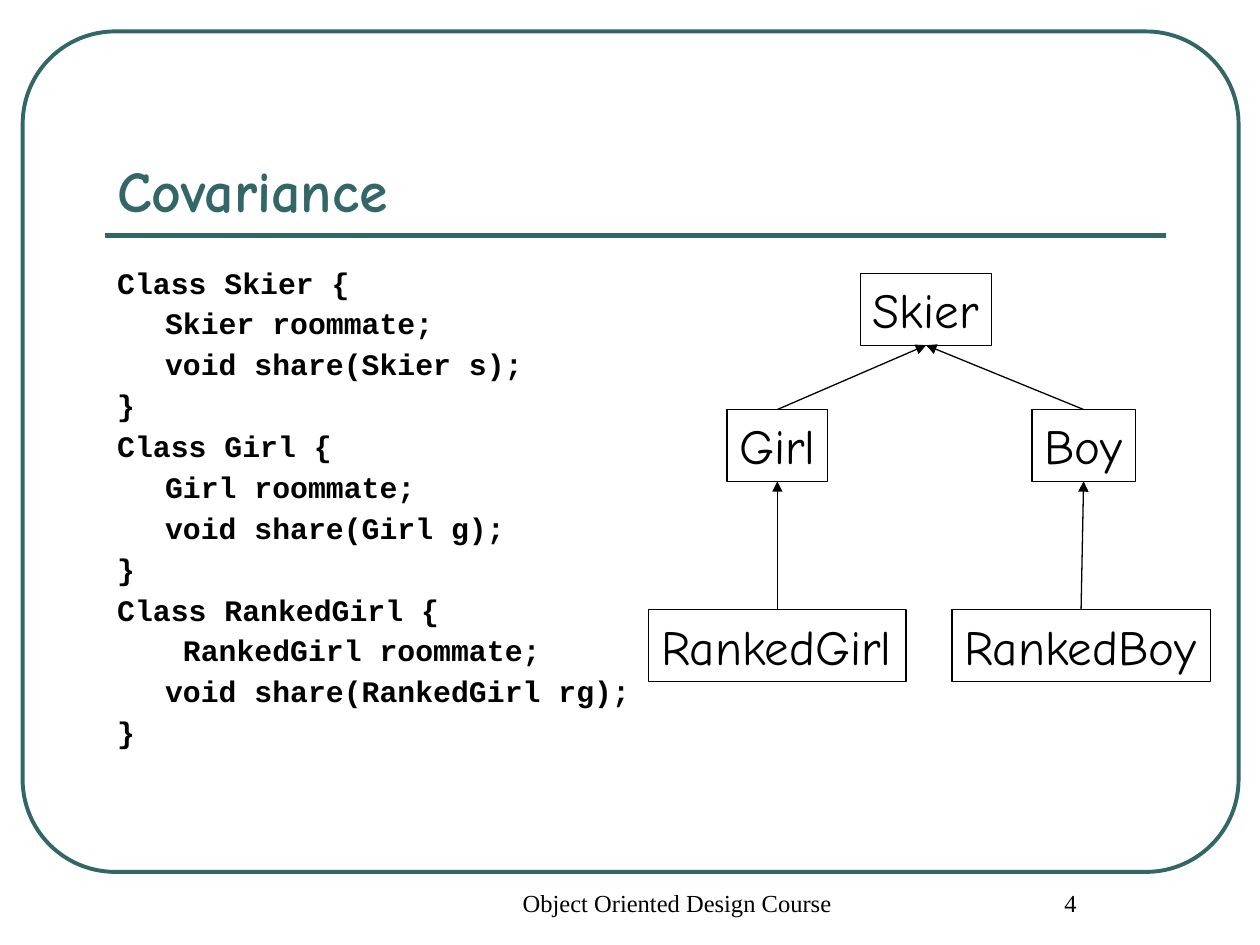
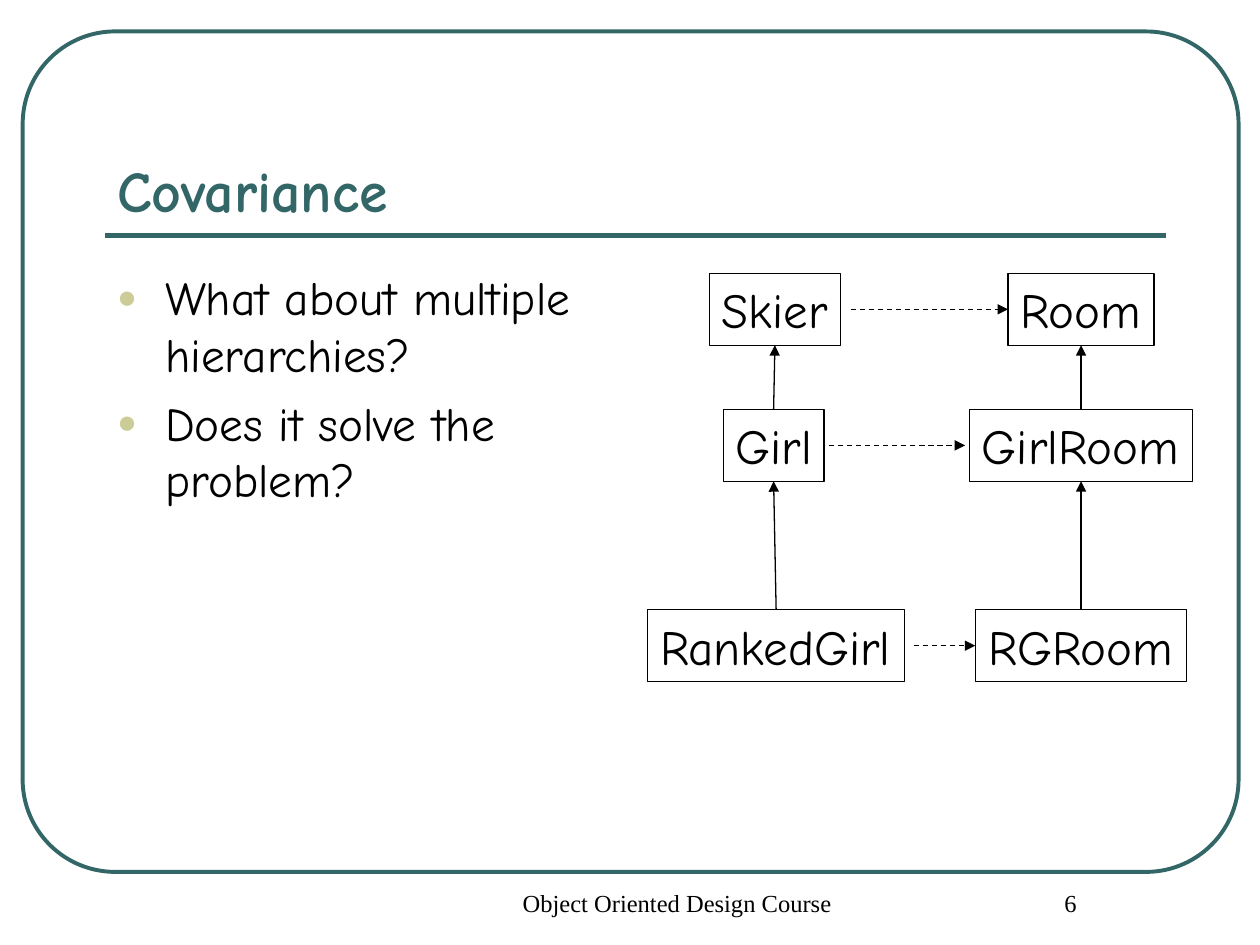
"""Build two slides on covariance with class diagrams."""
import pptx
import pptx.util
import pptx.dml.color
import pptx.enum.dml
import pptx.enum.shapes
import pptx.enum.text
import pptx.oxml.ns
from lxml import etree

Inches = pptx.util.Inches
Pt = pptx.util.Pt
SHAPES = pptx.enum.shapes.MSO_SHAPE
STRAIGHT = pptx.enum.shapes.MSO_CONNECTOR.STRAIGHT
ALIGN = pptx.enum.text.PP_ALIGN
AUTO_SIZE = pptx.enum.text.MSO_AUTO_SIZE
ANCHOR = pptx.enum.text.MSO_ANCHOR
qn = pptx.oxml.ns.qn

COLORS = {"teal": "336666", "bullet": "CCCC99", "ink": "000000"}
HAND, CODE, SERIF = "Comic Neue", "Courier New", "Times New Roman"
ROW_TOPS = [2.17, 3.25, 4.84]
BOX_HEIGHT = 0.57
BOX_WIDTHS = {"Skier": 1.04, "Girl": 0.8, "Boy": 0.82, "RankedGirl": 2.04,
              "RankedBoy": 2.05, "Room": 1.16, "GirlRoom": 1.77, "RGRoom": 1.67}

SLIDES = [
    {
        "number": "4",
        "body_width": 6,
        "code": [
            (0, "Class Skier {"),
            (1, "Skier roommate;"),
            (1, "void share(Skier s);"),
            (0, "}"),
            (0, "Class Girl {"),
            (1, "Girl roommate;"),
            (1, "void share(Girl g);"),
            (0, "}"),
            (0, "Class RankedGirl {"),
            (1, " RankedGirl roommate;"),
            (1, "void share(RankedGirl rg);"),
            (0, "}"),
        ],
        "bullets": [],
        "classes": [("Skier", 7.35, 0), ("Girl", 6.17, 1), ("Boy", 8.6, 1),
                    ("RankedGirl", 6.17, 2), ("RankedBoy", 8.58, 2)],
        "parents": [("Girl", "Skier"), ("Boy", "Skier"),
                    ("RankedGirl", "Girl"), ("RankedBoy", "Boy")],
        "uses": [],
    },
    {
        "number": "6",
        "body_width": 4.5,
        "code": [],
        "bullets": ["What about multiple hierarchies?", "Does it solve the problem?"],
        "classes": [("Skier", 6.15, 0), ("Girl", 6.14, 1), ("RankedGirl", 6.16, 2),
                    ("Room", 8.58, 0), ("GirlRoom", 8.58, 1), ("RGRoom", 8.58, 2)],
        "parents": [("Girl", "Skier"), ("RankedGirl", "Girl"),
                    ("GirlRoom", "Room"), ("RGRoom", "GirlRoom")],
        "uses": [(6.75, 8, 0), (6.58, 7.66, 1), (7.25, 7.74, 2)],
    },
]


def format_text(para, size, font, color="ink", bold=False):
    for span in para.runs:
        span.font.size = Pt(size)
        span.font.name = font
        span.font.bold = bold
        span.font.color.rgb = pptx.dml.color.RGBColor.from_string(COLORS[color])


def draw_line(page, start, end, color="ink", width=0.75, arrow=True):
    line = page.shapes.add_connector(STRAIGHT, *[Inches(v) for v in (*start, *end)])
    line.line.color.rgb = pptx.dml.color.RGBColor.from_string(COLORS[color])
    line.line.width = Pt(width)
    if arrow:
        etree.SubElement(line.line._get_or_add_ln(), qn("a:tailEnd"), type="triangle")
    etree.SubElement(line._element.spPr, qn("a:effectLst"))
    return line


deck = pptx.Presentation()
deck.slide_width, deck.slide_height = Inches(10), Inches(7.5)

for content in SLIDES:
    page = deck.slides.add_slide(deck.slide_layouts[1])
    title, body = page.placeholders

    frame = page.shapes.add_shape(SHAPES.ROUNDED_RECTANGLE, Inches(0.18), Inches(0.25),
                                  Inches(9.65), Inches(6.67))
    frame.adjustments[0] = 0.11
    frame.shadow.inherit = False
    frame.fill.background()
    frame.line.color.rgb = pptx.dml.color.RGBColor.from_string(COLORS["teal"])
    frame.line.width = Pt(2.25)
    draw_line(page, (0.83, 1.87), (9.25, 1.87), "teal", 3, arrow=False)

    title.left, title.top = Inches(0.83), Inches(0.58)
    title.width, title.height = Inches(8.42), Inches(1.25)
    title.text_frame.text = "Covariance"
    title.text_frame.auto_size = AUTO_SIZE.NONE
    title.text_frame.vertical_anchor = ANCHOR.BOTTOM
    title.text_frame.paragraphs[0].alignment = ALIGN.LEFT
    format_text(title.text_frame.paragraphs[0], 33, HAND, "teal", True)

    body.left, body.top = Inches(0.83), Inches(2.08)
    body.width, body.height = Inches(content["body_width"]), Inches(4.42)
    body.text_frame.auto_size = AUTO_SIZE.NONE
    lines = content["code"] or [(0, text) for text in content["bullets"]]
    body.text_frame.text = "\n".join(text for depth, text in lines)
    for index, (para, (depth, text)) in enumerate(zip(body.text_frame.paragraphs, lines)):
        properties = para._p.get_or_add_pPr()
        if content["code"]:
            properties.set("marL", str(Inches(0.38 * depth)))
            properties.set("indent", "0")
            etree.SubElement(properties, qn("a:buNone"))
            para.line_spacing = 0.9
            para.space_before = Pt(5 if index else 0)
            format_text(para, 17, CODE, bold=True)
        else:
            properties.set("marL", str(Inches(0.38)))
            properties.set("indent", str(-Inches(0.38)))
            bullet_color = etree.SubElement(properties, qn("a:buClr"))
            etree.SubElement(bullet_color, qn("a:srgbClr"), val=COLORS["bullet"])
            etree.SubElement(properties, qn("a:buSzPct"), val="70000")
            etree.SubElement(properties, qn("a:buChar"), char="●")
            para.space_before = Pt(6.8 if index else 0)
            format_text(para, 27, HAND)

    boxes = {}
    for name, center, row in content["classes"]:
        width = BOX_WIDTHS[name]
        box = page.shapes.add_textbox(Inches(center - width / 2), Inches(ROW_TOPS[row]),
                                      Inches(width), Inches(BOX_HEIGHT))
        box.line.color.rgb = pptx.dml.color.RGBColor.from_string(COLORS["ink"])
        box.line.width = Pt(0.75)
        box.text_frame.text = name
        box.text_frame.word_wrap = False
        box.text_frame.auto_size = AUTO_SIZE.NONE
        box.text_frame.margin_right = Inches(0.02)
        box.text_frame.paragraphs[0].alignment = ALIGN.LEFT
        format_text(box.text_frame.paragraphs[0], 28, HAND)
        boxes[name] = box
        box.text_frame.word_wrap = True

    for child, parent in content["parents"]:
        link = draw_line(page, (0, 0), (1, 1))
        link.begin_connect(boxes[child], 0)
        link.end_connect(boxes[parent], 2)

    for left, right, row in content["uses"]:
        middle = ROW_TOPS[row] + BOX_HEIGHT / 2
        link = draw_line(page, (left, middle), (right, middle))
        link.line.dash_style = pptx.enum.dml.MSO_LINE.DASH

    for text, left, width in [("Object Oriented Design Course", 3.67, 3.17),
                              (content["number"], 7.5, 1.75)]:
        footer = page.shapes.add_textbox(Inches(left), Inches(7), Inches(width), Inches(0.5))
        footer.text_frame.text = text
        footer.text_frame.word_wrap = True
        para = footer.text_frame.paragraphs[0]
        para.alignment = ALIGN.CENTER
        para._p.get_or_add_pPr().set("marL", str(Inches(0.24)))
        format_text(para, 14, SERIF)

deck.save("out.pptx")
